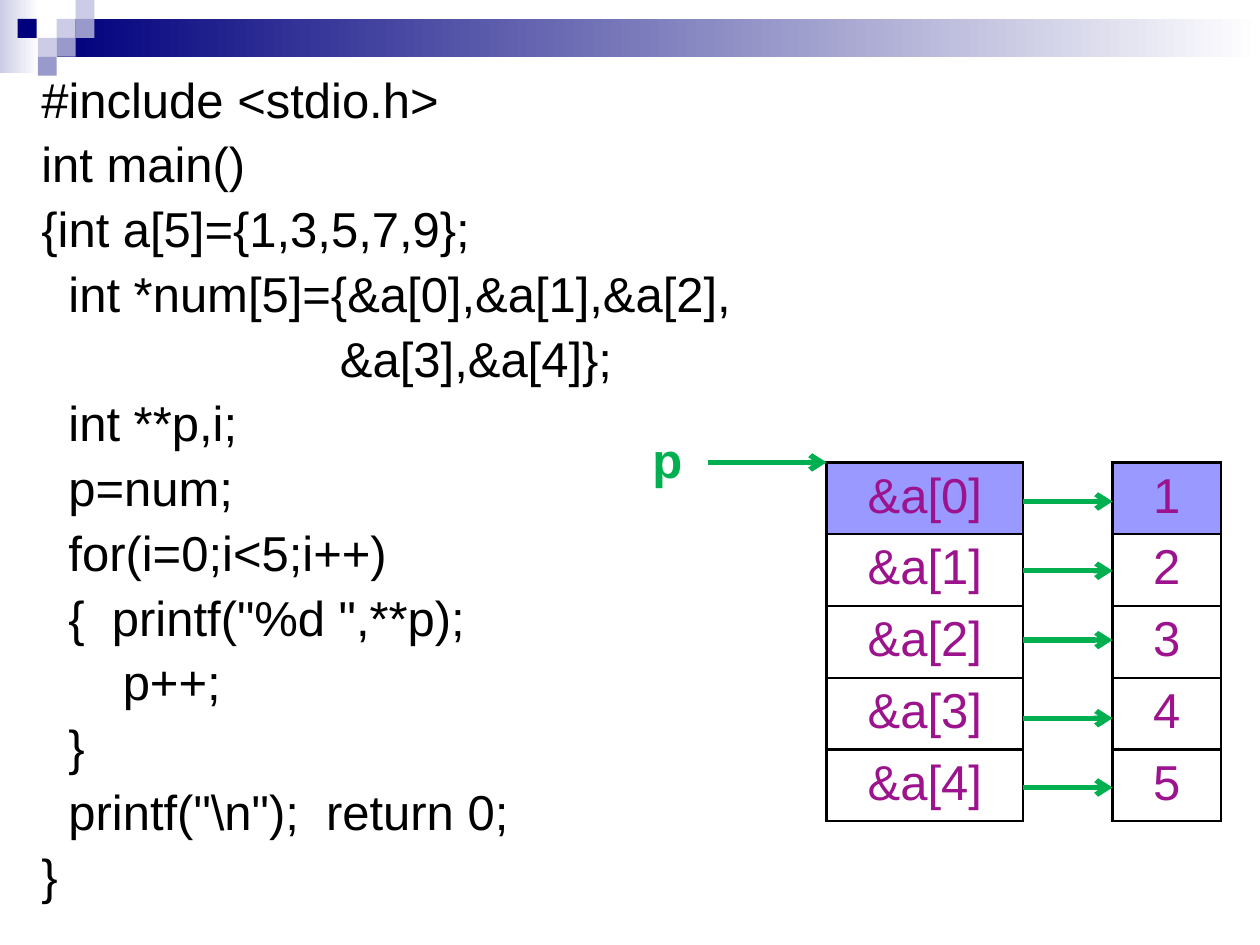
"""Build a slide showing C code that walks an array of pointers."""
from dataclasses import dataclass

import pptx
import pptx.dml.color
import pptx.enum.dml
import pptx.enum.shapes
import pptx.enum.text
import pptx.oxml
import pptx.oxml.ns
import pptx.util
from pptx.dml.color import RGBColor
from pptx.util import Inches

BLACK = RGBColor(0x00, 0x00, 0x00)
WHITE = RGBColor(0xFF, 0xFF, 0xFF)
NAVY = RGBColor(0x00, 0x00, 0x7D)
PALE = RGBColor(0xCC, 0xCC, 0xE6)
LILAC = RGBColor(0x99, 0x99, 0xCC)
HEAD = RGBColor(0x99, 0x99, 0xFF)
PURPLE = RGBColor(0x9D, 0x13, 0x8D)
GREEN = RGBColor(0x00, 0xB0, 0x50)

TILE = 0.15
TABLE_TOP = 3.67
ROW_HEIGHT = 0.57
CODE = r"""#include <stdio.h>
int main()
{int a[5]={1,3,5,7,9};
  int *num[5]={&a[0],&a[1],&a[2],
                      &a[3],&a[4]};
  int **p,i;
  p=num;
  for(i=0;i<5;i++)
  {  printf("%d ",**p);
      p++;
  }
  printf("\n");  return 0;
}"""


@dataclass
class Bar:
    x: float
    y: float
    w: float
    h: float
    color: RGBColor
    fades: bool = False


@dataclass
class Column:
    x: float
    w: float
    values: list[str]


@dataclass
class Arrow:
    x1: float
    x2: float
    y: float


BARS = [
    Bar(0, 0, 0.31, 0.58, PALE, True),
    Bar(0.45, 0.15, 9.55, 0.3, NAVY, True),
] + [
    Bar(x, y, TILE, TILE, color)
    for x, y, color in [
        (0.45, 0.15, PALE), (0.6, 0, PALE), (0.6, 0.15, LILAC), (0.3, 0.3, PALE),
        (0.14, 0.15, NAVY), (0.45, 0.3, LILAC), (0.3, 0.45, LILAC),
    ]
]
COLUMNS = [
    Column(6.56, 1.56, [f"&a[{i}]" for i in range(5)]),
    Column(8.83, 0.86, [str(i) for i in range(1, 6)]),
]
ARROWS = [Arrow(5.62, 6.56, TABLE_TOP)] + [
    Arrow(8.12, 8.83, y) for y in (3.98, 4.53, 5.08, 5.7, 6.25)
]


def set_all(obj, values: dict) -> None:
    """Set each attribute named in values."""
    for name, value in values.items():
        setattr(obj, name, value)


def add_run(p, text: str, color: RGBColor, bold: bool = False) -> None:
    """Add a formatted run to a paragraph."""
    r = p.add_run()
    r.text = text
    set_all(r.font, {"name": "Arial", "size": pptx.util.Pt(28), "bold": bold})
    r.font.color.rgb = color


def draw_bar(s, bar: Bar) -> None:
    """Draw one plain or fading rectangle of the header."""
    sp = s.shapes.add_shape(
        pptx.enum.shapes.MSO_SHAPE.RECTANGLE,
        Inches(bar.x), Inches(bar.y), Inches(bar.w), Inches(bar.h))
    sp.shadow.inherit = False
    sp.line.fill.background()
    if bar.fades:
        sp.fill.gradient()
        sp.fill.gradient_angle = 0
        for stop, color, position in zip(sp.fill.gradient_stops, (bar.color, WHITE), (0, 1)):
            stop.color.rgb = color
            stop.position = position
    else:
        sp.fill.solid()
        sp.fill.fore_color.rgb = bar.color


def add_text_box(s, x: float, y: float, w: float, h: float):
    """Add a wrapping text box and return its text frame."""
    tf = s.shapes.add_textbox(Inches(x), Inches(y), Inches(w), Inches(h)).text_frame
    tf.word_wrap = True
    return tf


def draw_code(s) -> None:
    """Write the program, one paragraph per line."""
    tf = add_text_box(s, 0.23, 0.55, 8.44, 6.56)
    for i, line in enumerate(CODE.splitlines()):
        p = tf.add_paragraph() if i else tf.paragraphs[0]
        set_all(p, {"line_spacing": pptx.util.Pt(30), "space_before": pptx.util.Pt(7 if i else 0)})
        pPr = p._p.get_or_add_pPr()
        pPr.set("marL", str(Inches(0.38)))
        pPr.set("indent", str(-Inches(0.38)))
        add_run(p, line, BLACK)


def add_borders(cell) -> None:
    """Outline a cell in black."""
    tcPr = cell._tc.get_or_add_tcPr()
    for i, side in enumerate(("lnL", "lnR", "lnT", "lnB")):
        tcPr.insert(i, pptx.oxml.parse_xml(
            f'<a:{side} {pptx.oxml.ns.nsdecls("a")} w="{pptx.util.Pt(1.47)}">'
            f'<a:solidFill><a:srgbClr val="{BLACK}"/></a:solidFill></a:{side}>'))


def draw_column(s, column: Column) -> None:
    """Draw a one-column table with a coloured first cell."""
    rows = len(column.values)
    table = s.shapes.add_table(
        rows, 1, Inches(column.x), Inches(TABLE_TOP),
        Inches(column.w), Inches(ROW_HEIGHT * rows)).table
    for i, value in enumerate(column.values):
        table.rows[i].height = Inches(ROW_HEIGHT)
        cell = table.cell(i, 0)
        cell.fill.solid()
        cell.fill.fore_color.rgb = WHITE if i else HEAD
        add_borders(cell)
        p = cell.text_frame.paragraphs[0]
        p.alignment = pptx.enum.text.PP_ALIGN.CENTER
        add_run(p, value, PURPLE)


def draw_arrow(s, arrow: Arrow) -> None:
    """Draw a green arrow pointing right."""
    sp = s.shapes.add_connector(
        pptx.enum.shapes.MSO_CONNECTOR.STRAIGHT,
        Inches(arrow.x1), Inches(arrow.y), Inches(arrow.x2), Inches(arrow.y))
    sp.line.color.rgb = GREEN
    sp.line.width = pptx.util.Pt(3)
    ns = pptx.oxml.ns.nsdecls("a")
    sp.line._get_or_add_ln().append(pptx.oxml.parse_xml(f'<a:tailEnd {ns} type="arrow"/>'))
    sp._element.spPr.append(pptx.oxml.parse_xml(f"<a:effectLst {ns}/>"))


def main() -> None:
    """Build and save the slide."""
    prs = pptx.Presentation()
    set_all(prs, {"slide_width": Inches(10), "slide_height": Inches(7.5)})
    s = prs.slides.add_slide(prs.slide_layouts[6])
    for bar in BARS:
        draw_bar(s, bar)
    draw_code(s)
    for column in COLUMNS:
        draw_column(s, column)
    add_run(add_text_box(s, 5.08, 3.36, 0.7, 0.57).paragraphs[0], "p", GREEN, True)
    for arrow in ARROWS:
        draw_arrow(s, arrow)
    prs.save("out.pptx")


if __name__ == "__main__":
    main()
